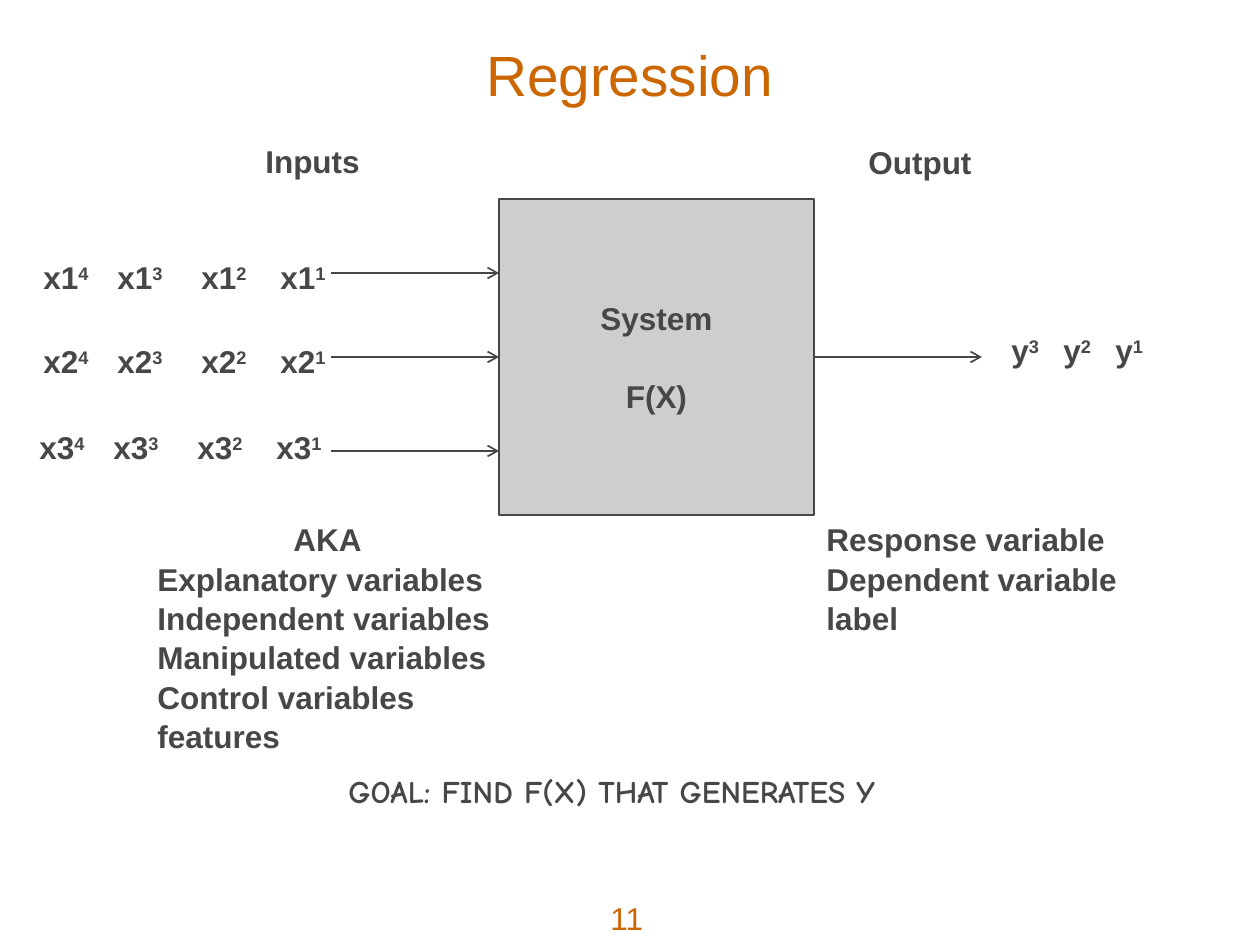
from lxml import etree
from pptx import Presentation
from pptx.dml.color import RGBColor
from pptx.enum.shapes import MSO_CONNECTOR, MSO_SHAPE
from pptx.enum.text import MSO_ANCHOR, MSO_AUTO_SIZE, PP_ALIGN
from pptx.oxml.ns import qn
from pptx.util import Pt

LEFT, CENTER = PP_ALIGN.LEFT, PP_ALIGN.CENTER
MIDDLE, GROW = MSO_ANCHOR.MIDDLE, MSO_AUTO_SIZE.SHAPE_TO_FIT_TEXT
RECT, LINE = MSO_SHAPE.RECTANGLE, MSO_CONNECTOR.STRAIGHT
PX = 914400 / 126
DARK, ORANGE, GRAY = "474747", "CC6600", "CECECE"
BODY = {"name": "Arial", "size": Pt(18), "bold": True}


def color(code):
    return RGBColor.from_string(code)


def write(shape, lines, ink=DARK, gap=0.9, **look):
    """Each line is (text, superscript, alignment)."""
    frame = shape.text_frame
    for i, (text, sup, align) in enumerate(lines):
        para = frame.paragraphs[0] if i == 0 else frame.add_paragraph()
        para.alignment = align
        if i:
            para.space_before = Pt(gap)
        for part, base in ((text, None), (sup, "30000")):
            if not part:
                continue
            run = para.add_run()
            run.text = part
            for key, value in {**BODY, **look}.items():
                setattr(run.font, key, value)
            run.font.color.rgb = color(ink)
            if base:
                run.font._element.set("baseline", base)
    return frame


prs = Presentation()
prs.slide_width, prs.slide_height = round(1260 * PX), round(945 * PX)
slide = prs.slides.add_slide(prs.slide_layouts[6])
shapes = slide.shapes

# Title
title = shapes.add_textbox(*[round(n * PX) for n in (15, 32, 1229, 84)])
frame = write(title, [("Regression", "", CENTER)], ORANGE,
              size=Pt(32.4), bold=False)
frame.word_wrap, frame.vertical_anchor = True, MIDDLE

# System box
box = shapes.add_shape(RECT, *[round(n * PX) for n in (499, 199, 315, 316)])
box.shadow.inherit = False
box.fill.solid()
box.fill.fore_color.rgb = color(GRAY)
box.line.color.rgb = color(DARK)
box.line.width = Pt(1)
frame = write(box, [("System", "", CENTER), ("F(X)", "", CENTER)], gap=22.6)
frame.vertical_anchor = MIDDLE

# Arrows: start, end, height, box side joined at the start or the end
for x1, x2, y, start, end in [
    (331, 499, 273, None, None),
    (331, 499, 357, None, 1),
    (331, 499, 451, None, None),
    (814, 982, 357, 3, None),
]:
    line = shapes.add_connector(LINE, *[round(n * PX) for n in (x1, y, x2, y)])
    if start is not None:
        line.begin_connect(box, start)
    if end is not None:
        line.end_connect(box, end)
    line.line.color.rgb = color(DARK)
    line.line.width = Pt(1)
    etree.SubElement(line.line._get_or_add_ln(), qn("a:tailEnd"), type="arrow")
    etree.SubElement(line._element.spPr, qn("a:effectLst"))

# Labels: left, top, width, height, lines, format
labels = [
    (253, 136, 123, 50, [("Inputs", "", LEFT)], {}),
    (856, 137, 131, 50, [("Output", "", LEFT)], {}),
    (145, 514, 365, 242,
     [("AKA", "", CENTER)] + [(name, "", LEFT) for name in (
         "Explanatory variables", "Independent variables",
         "Manipulated variables", "Control variables", "features")], {}),
    (814, 514, 320, 127, [(name, "", LEFT) for name in (
        "Response variable", "Dependent variable", "label")], {}),
    (336, 766, 654, 50, [("GOAL: FIND F(X) THAT GENERATES Y", "", LEFT)],
     {"name": "Comic Neue"}),
    (598, 893, 64, 50, [("11", "", LEFT)], {"ink": ORANGE, "bold": False}),
]

# Input samples: one row per variable, newest sample on the right
for row, (shift, top) in enumerate([(0, 252), (0, 336), (-4, 422)], 1):
    for step, left in enumerate([268, 189, 105, 31], 1):
        labels.append((left + shift, top, 73, 50,
                       [(f"x{row}", str(step), LEFT)], {}))

# Output samples
for step in (1, 2, 3):
    labels.append((1155 - 52 * step, 325, 57, 50,
                   [("y", str(step), LEFT)], {}))

for *place, lines, look in labels:
    label = shapes.add_textbox(*[round(n * PX) for n in place])
    frame = write(label, lines, **look)
    frame.word_wrap, frame.auto_size = False, GROW

prs.save("out.pptx")
